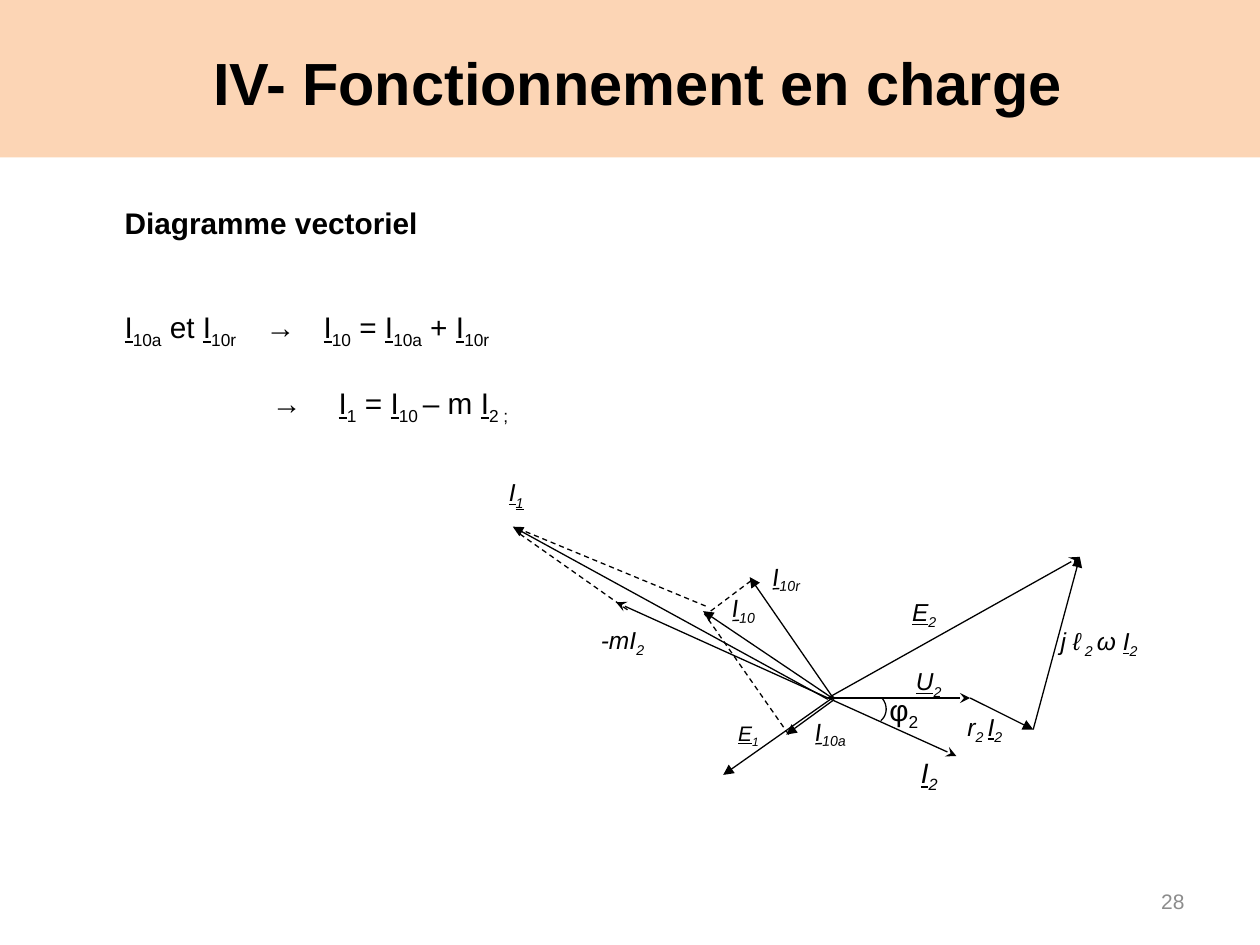
from pptx import Presentation
from pptx.dml.color import RGBColor
from pptx.enum.dml import MSO_LINE
from pptx.enum.shapes import MSO_CONNECTOR, MSO_SHAPE
from pptx.enum.text import MSO_ANCHOR, PP_ALIGN
from pptx.oxml.ns import qn
from pptx.util import Pt
from lxml.etree import SubElement

PX = 9144  # 100 px to the inch
FONT = "Arial"
COLORS = {"band": "FCD5B5", "ink": "000000", "number": "8C8C8C"}


def add_spans(para, spans, size, color="ink", bold=False, italic=False):
    """Add (text, marks) runs; mark u underlines, mark s makes a subscript."""
    for text, marks in spans:
        span = para.add_run()
        span.text = text
        font = span.font
        font.name, font.size = FONT, Pt(size)
        font.bold, font.italic = bold, italic
        font.underline = "u" in marks
        font.color.rgb = RGBColor.from_string(COLORS[color])
        if "s" in marks:
            font._element.set("baseline", "-25000")


def add_box(page, left, top, width, height):
    box = page.shapes.add_textbox(left * PX, top * PX, width * PX, height * PX)
    box.text_frame.word_wrap = True
    return box


deck = Presentation()
deck.slide_width, deck.slide_height = 1000 * PX, 750 * PX
page = deck.slides.add_slide(deck.slide_layouts[6])

# Title band
band = page.shapes.add_shape(MSO_SHAPE.RECTANGLE, 0, 0, 1000 * PX, 125 * PX)
band.shadow.inherit = False
band.fill.solid()
band.fill.fore_color.rgb = RGBColor.from_string(COLORS["band"])
band.line.fill.background()
frame = band.text_frame
frame.vertical_anchor = MSO_ANCHOR.MIDDLE
frame.margin_left, frame.margin_top = 22 * PX, 9 * PX
frame.paragraphs[0].alignment = PP_ALIGN.CENTER
add_spans(frame.paragraphs[0], [("IV- Fonctionnement en charge", "")], 34, bold=True)

# Heading and current equations: spans, space before (pt), tab stops (px)
equations = [
    ([("I", "u"), ("10a", "s"), (" et ", ""), ("I", "u"), ("10r", "s"), ("\t→\t", ""),
      ("I", "u"), ("10", "s"), (" = ", ""), ("I", "u"), ("10a", "s"), (" + ", ""),
      ("I", "u"), ("10r", "s")], 39, (112, 158)),
    ([("\t→\t", ""), ("I", "u"), ("1", "s"), (" = ", ""), ("I", "u"), ("10 ", "s"),
      ("– m ", ""), ("I", "u"), ("2 ;", "s")], 20, (117, 170)),
]
frame = add_box(page, 89, 158, 453, 287).text_frame
add_spans(frame.paragraphs[0], [("Diagramme vectoriel", "")], 17, bold=True)
for spans, space, stops in equations:
    para = frame.add_paragraph()
    para.space_before = Pt(space)
    tab_list = SubElement(para._p.get_or_add_pPr(), qn("a:tabLst"))
    for stop in stops:
        SubElement(tab_list, qn("a:tab"), pos=str(stop * PX), algn="l")
    add_spans(para, spans, 17)

# Vectors: from, to, arrowhead at from, arrowhead at to, dashed
vectors = [
    ((657, 554), (770, 554), None, "stealth", False),  # U2
    ((657, 554), (857, 442), None, "stealth", False),  # E2
    ((489, 478), (759, 600), "stealth", "stealth", False),  # -mI2 and I2
    ((770, 554), (820, 579), None, "triangle", False),  # r2 I2
    ((820, 579), (857, 442), None, "triangle", False),  # j l2 w I2
    ((662, 553), (574, 615), None, "triangle", False),  # E1
    ((662, 555), (595, 458), None, "triangle", False),  # I10r
    ((662, 555), (558, 485), None, "triangle", False),  # I10
    ((661, 556), (624, 583), None, "triangle", False),  # I10a
    ((657, 555), (407, 418), None, "triangle", False),  # I1
    ((626, 583), (559, 487), None, None, True),
    ((596, 461), (560, 488), None, None, True),
    ((560, 481), (410, 419), None, None, True),
    ((498, 484), (410, 422), None, None, True),
]
for start, end, head, tail, dashed in vectors:
    vector = page.shapes.add_connector(
        MSO_CONNECTOR.STRAIGHT, *(value * PX for value in start + end))
    vector.line.color.rgb = RGBColor.from_string(COLORS["ink"])
    vector.line.width = Pt(0.75)
    if dashed:
        vector.line.dash_style = MSO_LINE.DASH
    outline = vector.line._get_or_add_ln()
    for tag, kind in (("a:headEnd", head), ("a:tailEnd", tail)):
        if kind:
            SubElement(outline, qn(tag), type=kind)
    SubElement(vector._element.spPr, qn("a:effectLst"))

# Angle between U2 and I2, a cubic curve drawn in short steps
curve = [(699, 572), (704, 568), (705, 560), (700, 554)]
STEPS = 16
points = []
for step in range(STEPS + 1):
    t = step / STEPS
    weights = ((1 - t) ** 3, 3 * t * (1 - t) ** 2, 3 * t ** 2 * (1 - t), t ** 3)
    points.append(tuple(
        round(PX * sum(w * point[axis] for w, point in zip(weights, curve)))
        for axis in (0, 1)))
builder = page.shapes.build_freeform(*points[0])
builder.add_line_segments(points[1:], close=False)
angle = builder.convert_to_shape()
angle.shadow.inherit = False
angle.fill.background()
angle.line.color.rgb = RGBColor.from_string(COLORS["ink"])
angle.line.width = Pt(0.75)

# Labels: box, size, rotation, italic, spans
labels = [
    ((714, 469, 45, 37), 14, 0, True, [("E", "u"), ("2", "s")]),
    ((832, 492, 91, 50), 14, 0, True,
     [("j ℓ", ""), (" 2 ", "s"), ("ω ", ""), ("I", "u"), ("2", "s")]),
    ((721, 595, 37, 31), 16, 0, True, [("I", "u"), ("2", "s")]),
    ((717, 524, 50, 37), 14, 0, True, [("U", "u"), ("2", "s")]),
    ((758, 560, 71, 37), 14, 0, True, [("r", ""), ("2 ", "s"), ("I", "u"), ("2", "s")]),
    ((576, 567, 42, 25), 12, 0, True, [("E", "u"), ("1", "s")]),
    ((696, 544, 49, 39), 17, 0, False, [("φ", ""), ("2", "s")]),
    ((467, 491, 64, 51), 14, 0, True, [("-mI", ""), ("2", "s")]),
    ((603, 440, 50, 38), 14, 357, True, [("I", "u"), ("10r", "s")]),
    ((637, 563, 50, 42), 14, 357, True, [("I", "u"), ("10a", "s")]),
    ((571, 465, 56, 36), 14, 357, True, [("I", "u"), ("10", "s")]),
    ((394, 374, 38, 31), 14, 0, True, [("I", "u"), ("1", "us")]),
]
for place, size, rotation, italic, spans in labels:
    label = add_box(page, *place)
    label.rotation = rotation
    add_spans(label.text_frame.paragraphs[0], spans, size, italic=italic)

# Page number
frame = add_box(page, 717, 695, 233, 40).text_frame
frame.vertical_anchor = MSO_ANCHOR.MIDDLE
frame.paragraphs[0].alignment = PP_ALIGN.RIGHT
add_spans(frame.paragraphs[0], [("28", "")], 12, color="number")

deck.save("out.pptx")
